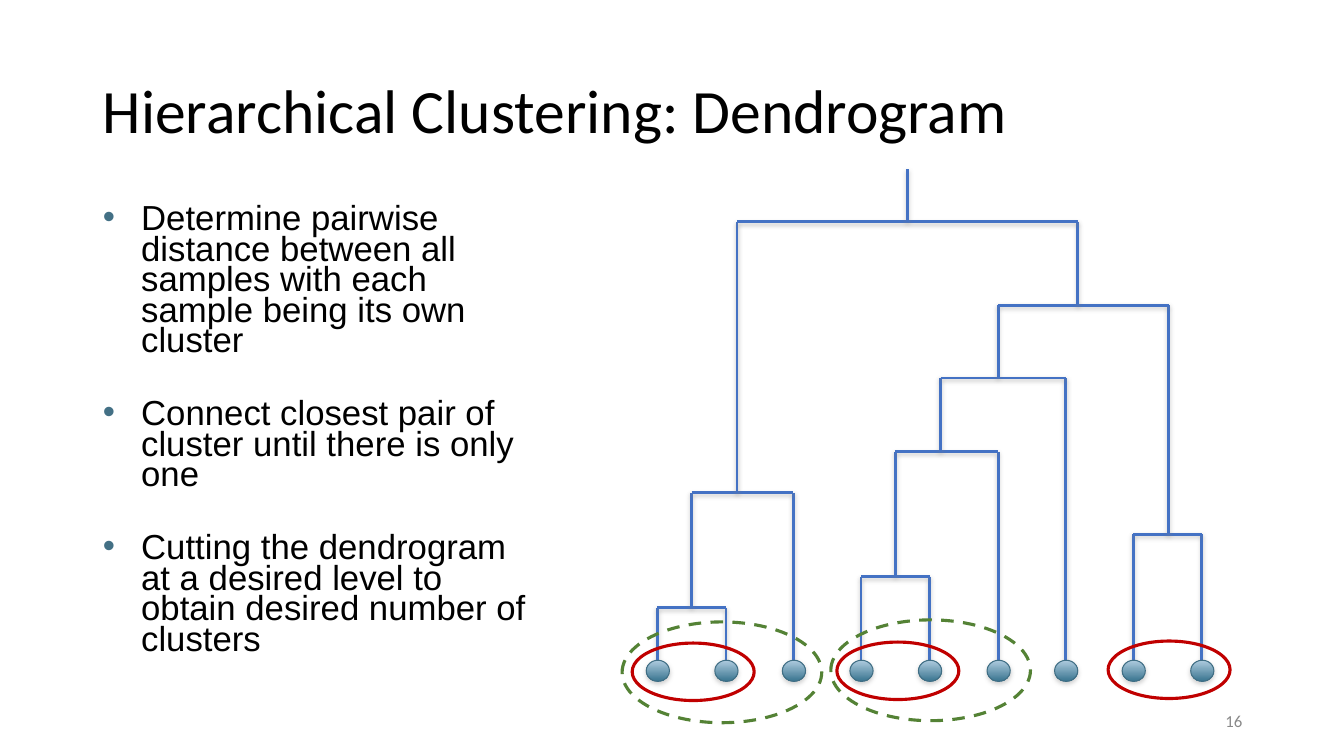
import pptx
import pptx.util
import pptx.dml.color
import pptx.enum.dml
import pptx.enum.shapes
import pptx.enum.text
import pptx.oxml
import pptx.oxml.ns

PX = 9144  # EMU per px, 100 px to the inch
rgb = pptx.dml.color.RGBColor.from_string
Pt = pptx.util.Pt
ALIGN = pptx.enum.text.PP_ALIGN
ANCHOR = pptx.enum.text.MSO_ANCHOR
OVAL = pptx.enum.shapes.MSO_SHAPE.OVAL
DASH = pptx.enum.dml.MSO_LINE

THEME = {
    "title_font": "Calibri", "body_font": "Arial",
    "title_size": 44, "body_size": 24.8, "number_size": 12,
    "text": "000000", "number": "898989", "bullet": "437085",
    "branch": "4472C4", "leaf_top": "AFCCDF", "leaf_bottom": "39748F",
    "leaf_line": "406E84", "shadow": "808080",
    "tight": "C00000", "loose": "548235",
}


def format_text(paragraph, font, size, color, align):
    paragraph.alignment = align
    for run in paragraph.runs:
        run.font.name = font
        run.font.size = Pt(size)
        run.font.color.rgb = rgb(color)


def add_soft_shadow(shape, distance, opacity):
    shape._element.spPr.append(pptx.oxml.parse_xml(
        f'<a:effectLst {pptx.oxml.ns.nsdecls("a")}>'
        f'<a:outerShdw blurRad="{Pt(3.1)}" dist="{Pt(distance)}" dir="5400000" rotWithShape="0">'
        f'<a:srgbClr val="{THEME["shadow"]}"><a:alpha val="{opacity * 1000}"/></a:srgbClr>'
        '</a:outerShdw></a:effectLst>'))


deck = pptx.Presentation()
deck.slide_width, deck.slide_height = 1333 * PX, 750 * PX
slide = deck.slides.add_slide(deck.slide_layouts[1])

# Title
title = slide.shapes.title
title.left, title.top, title.width, title.height = (v * PX for v in (92, 40, 1150, 145))
title.text_frame.text = "Hierarchical Clustering: Dendrogram"
title.text_frame.auto_size = pptx.enum.text.MSO_AUTO_SIZE.NONE
title.text_frame.vertical_anchor = ANCHOR.MIDDLE
title.text_frame.paragraphs[0].line_spacing = 0.9
format_text(title.text_frame.paragraphs[0], THEME["title_font"], THEME["title_size"],
            THEME["text"], ALIGN.LEFT)

# Steps of the method
steps = slide.placeholders[1]
steps.left, steps.top, steps.width, steps.height = (v * PX for v in (92, 200, 448, 476))
steps.text_frame.text = "\n".join([
    "Determine pairwise distance between all samples with each sample being its own cluster",
    "Connect closest pair of cluster until there is only one",
    "Cutting the dendrogram at a desired level to obtain desired number of clusters",
])
steps.text_frame.auto_size = pptx.enum.text.MSO_AUTO_SIZE.NONE
for i, step in enumerate(steps.text_frame.paragraphs):
    properties = step._p.get_or_add_pPr()
    properties.set("marL", str(38 * PX))
    properties.set("indent", str(-38 * PX))
    for bullet in (f'<a:buClr {{}}><a:srgbClr val="{THEME["bullet"]}"/></a:buClr>',
                   '<a:buFont {} typeface="Arial"/>', '<a:buChar {} char="•"/>'):
        properties.append(pptx.oxml.parse_xml(bullet.format(pptx.oxml.ns.nsdecls("a"))))
    step.line_spacing = 0.73
    step.space_before = Pt(30.5 if i else 0)
    format_text(step, THEME["body_font"], THEME["body_size"], THEME["text"], ALIGN.LEFT)

# Slide number
number = slide.shapes.add_textbox(942 * PX, 695 * PX, 300 * PX, 40 * PX)
number.text_frame.word_wrap = True
number.text_frame.vertical_anchor = ANCHOR.MIDDLE
number.text_frame.text = "16"
format_text(number.text_frame.paragraphs[0], THEME["title_font"], THEME["number_size"],
            THEME["number"], ALIGN.RIGHT)

# Dendrogram: each merge joins two nodes at a height, its stem rises from stem_x
LEAF_TOP = 655
nodes = {f"leaf{i}": (652 + round(67.5 * i), LEAF_TOP) for i in range(9)}
merges = [  # name, left, right, height, stem_x
    ("pair_a", "leaf0", "leaf1", 603, 686),
    ("pair_b", "leaf3", "leaf4", 572, 888),
    ("pair_c", "leaf7", "leaf8", 530, 1159),
    ("left", "pair_a", "leaf2", 489, 731),
    ("triple", "pair_b", "leaf5", 448, 933),
    ("quad", "triple", "leaf6", 375, 990),
    ("right", "quad", "pair_c", 303, 1069),
    ("root", "left", "right", 220, 900),
]
segments = []
for name, left, right, height, stem_x in merges:
    (left_x, left_y), (right_x, right_y) = nodes[left], nodes[right]
    segments += [(left_x, height, left_x, left_y), (right_x, height, right_x, right_y),
                 (left_x, height, right_x, height)]
    nodes[name] = (stem_x, height)
segments.append((900, 168, *nodes["root"]))

dendrogram = slide.shapes.add_group_shape()
for ends in segments:
    branch = dendrogram.shapes.add_connector(pptx.enum.shapes.MSO_CONNECTOR.STRAIGHT,
                                             *(v * PX for v in ends))
    branch.line.color.rgb = rgb(THEME["branch"])
    branch.line.width = Pt(2)
    add_soft_shadow(branch, 1.6, 38)

# Samples at the foot of the tree
for i in range(9):
    leaf_x, leaf_y = nodes[f"leaf{i}"]
    sample = dendrogram.shapes.add_shape(OVAL, (leaf_x - 11) * PX, leaf_y * PX, 23 * PX, 21 * PX)
    sample.fill.gradient()
    sample.fill.gradient_angle = 270
    for stop, position, color in zip(sample.fill.gradient_stops, (0, 1),
                                     (THEME["leaf_top"], THEME["leaf_bottom"])):
        stop.position = position
        stop.color.rgb = rgb(color)
    sample.line.color.rgb = rgb(THEME["leaf_line"])
    sample.line.width = Pt(0.75)
    add_soft_shadow(sample, 1.8, 35)

# Clusters: tight cuts in solid red, looser cuts in dashed green
for color, dash, width, height, corners in (
        (THEME["tight"], DASH.SOLID, 121, 57, ((627, 638), (830, 637), (1099, 636))),
        (THEME["loose"], DASH.DASH, 198, 100, ((617, 617), (824, 615)))):
    for x, y in corners:
        cluster = slide.shapes.add_shape(OVAL, x * PX, y * PX, width * PX, height * PX)
        cluster.shadow.inherit = False
        cluster.fill.background()
        cluster.line.color.rgb = rgb(color)
        cluster.line.width = Pt(2.25)
        cluster.line.dash_style = dash

deck.save("out.pptx")
